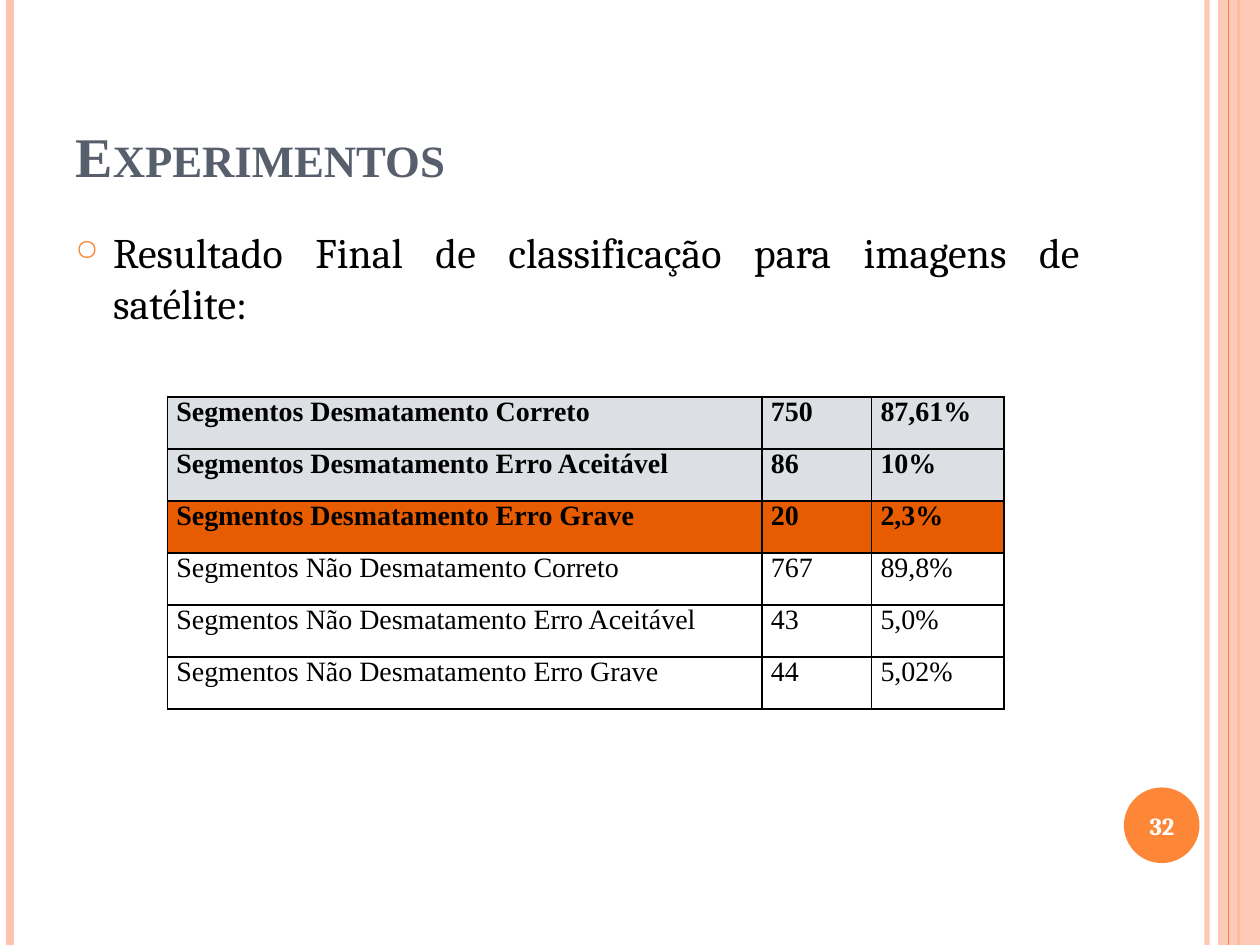
"""Build the slide with the final classification results for satellite images."""
from dataclasses import dataclass

from lxml import etree
from pptx import Presentation
from pptx.dml.color import RGBColor
from pptx.enum import shapes, text
from pptx.oxml import ns
from pptx.util import Pt


@dataclass(frozen=True)
class Theme:
    serif: str = "Times New Roman"
    body: str = "Cambria"
    orange: str = "FE8637"
    peach: str = "FEC3AE"
    slate: str = "575F6D"
    black: str = "000000"
    white: str = "FFFFFF"
    good: str = "DCDFE3"
    bad: str = "E75C01"
    title_size: int = 32
    body_size: int = 24
    table_size: int = 16
    number_size: int = 14


THEME = Theme()
WIDTH, HEIGHT = 720, 540
TITLE = "Experimentos"
STATEMENT = "Resultado Final de classificação para imagens de satélite: "
PAGE_NUMBER = "32"
RULES_BEHIND = [
    (689.76, THEME.peach, 3, 93),
    (5.76, THEME.peach, 4.5, 100),
    (707.76, THEME.orange, 1.5, 100),
]
RULE_FRONT = (702, THEME.orange, 0.75, 100)
BAND_LEFT, BAND_OPACITY = 696, 87
TABLE_LEFT, TABLE_TOP, ROW_HEIGHT = 95.76, 226.8, 29.72
COLUMNS = [339.8, 62.6, 75.6]
CELL_INSET = 5.04
ROWS = [
    ("Segmentos Desmatamento Correto", "750", "87,61%"),
    ("Segmentos Desmatamento Erro Aceitável", "86", "10%"),
    ("Segmentos Desmatamento Erro Grave ", "20", "2,3%"),
    ("Segmentos Não Desmatamento Correto", "767", "89,8%"),
    ("Segmentos Não Desmatamento Erro Aceitável", "43", "5,0%"),
    ("Segmentos Não Desmatamento Erro Grave", "44", "5,02%"),
]
ROW_FILLS = [THEME.good, THEME.good, THEME.bad, None, None, None]


def color(value):
    return RGBColor.from_string(value)


def add_xml(parent, tag, **attributes):
    return etree.SubElement(parent, ns.qn(tag), attributes)


def set_opacity(shape, percent):
    fill_color = next(shape._element.spPr.iter(ns.qn("a:srgbClr")))
    add_xml(fill_color, "a:alpha", val=str(percent * 1000))


def add_rule(page, left, tone, weight, opacity):
    rule = page.shapes.add_connector(
        shapes.MSO_CONNECTOR.STRAIGHT, Pt(left), Pt(0), Pt(left), Pt(HEIGHT))
    rule.line.color.rgb = color(tone)
    rule.line.width = Pt(weight)
    if opacity < 100:
        set_opacity(rule, opacity)
    add_xml(rule._element.spPr, "a:effectLst")


def add_plain_shape(page, kind, frame, tone):
    shape = page.shapes.add_shape(kind, *map(Pt, frame))
    shape.shadow.inherit = False
    shape.fill.solid()
    shape.fill.fore_color.rgb = color(tone)
    shape.line.fill.background()
    return shape


def add_span(para, words, face, size, tone, bold=False):
    span = para.add_run()
    span.text = words
    span.font.name = face
    span.font.size = Pt(size)
    span.font.bold = bold
    span.font.color.rgb = color(tone)
    return span


def add_box(page, frame, anchor, align):
    box = page.shapes.add_textbox(*map(Pt, frame))
    box.text_frame.word_wrap = True
    box.text_frame.vertical_anchor = anchor
    para = box.text_frame.paragraphs[0]
    para.alignment = align
    return para


def add_bullet(para):
    properties = para._p.get_or_add_pPr()
    properties.set("marL", str(Pt(21.6)))
    properties.set("indent", str(Pt(-21.6)))
    add_xml(add_xml(properties, "a:buClr"), "a:srgbClr", val=THEME.orange)
    add_xml(properties, "a:buSzPct", val="70000")
    add_xml(properties, "a:buChar", char="○")


def add_borders(cell):
    properties = cell._tc.get_or_add_tcPr()
    for side in ("a:lnL", "a:lnR", "a:lnT", "a:lnB"):
        border = add_xml(properties, side, w=str(Pt(1)))
        add_xml(add_xml(border, "a:solidFill"), "a:srgbClr", val=THEME.black)


def fill_cell(cell, words, tone):
    cell.margin_left = cell.margin_right = Pt(CELL_INSET)
    cell.margin_top = cell.margin_bottom = Pt(0)
    add_borders(cell)
    if tone:
        cell.fill.solid()
        cell.fill.fore_color.rgb = color(tone)
    else:
        cell.fill.background()
    para = cell.text_frame.paragraphs[0]
    para.alignment = text.PP_ALIGN.JUSTIFY
    add_span(para, words, THEME.serif, THEME.table_size, THEME.black, bool(tone))


def add_results(page):
    frame = (TABLE_LEFT, TABLE_TOP, sum(COLUMNS), ROW_HEIGHT * len(ROWS))
    table = page.shapes.add_table(len(ROWS), len(COLUMNS), *map(Pt, frame)).table
    table.first_row = table.horz_banding = False
    for column, width in zip(table.columns, COLUMNS):
        column.width = Pt(width)
    for row, values, tone in zip(table.rows, ROWS, ROW_FILLS):
        row.height = Pt(ROW_HEIGHT)
        for cell, words in zip(row.cells, values):
            fill_cell(cell, words, tone)


def main():
    deck = Presentation()
    deck.slide_width, deck.slide_height = Pt(WIDTH), Pt(HEIGHT)
    page = deck.slides.add_slide(deck.slide_layouts[6])

    for rule in RULES_BEHIND:
        add_rule(page, *rule)
    band = add_plain_shape(page, shapes.MSO_SHAPE.RECTANGLE,
                           (BAND_LEFT, 0, WIDTH - BAND_LEFT, HEIGHT), THEME.peach)
    set_opacity(band, BAND_OPACITY)
    add_rule(page, *RULE_FRONT)
    add_plain_shape(page, shapes.MSO_SHAPE.OVAL, (642.24, 450, 43.2, 43.2), THEME.orange)

    para = add_box(page, (36, 21.6, 588, 90), text.MSO_ANCHOR.BOTTOM, text.PP_ALIGN.LEFT)
    span = add_span(para, TITLE, THEME.serif, THEME.title_size, THEME.slate, True)
    span.font._element.set("cap", "small")

    para = add_box(page, (36, 126, 588, 384), text.MSO_ANCHOR.TOP, text.PP_ALIGN.JUSTIFY)
    add_bullet(para)
    add_span(para, STATEMENT, THEME.body, THEME.body_size, THEME.black)

    add_results(page)

    para = add_box(page, (640, 451.4, 48, 41), text.MSO_ANCHOR.MIDDLE, text.PP_ALIGN.CENTER)
    add_span(para, PAGE_NUMBER, THEME.body, THEME.number_size, THEME.white, True)

    deck.save("out.pptx")


if __name__ == "__main__":
    main()
